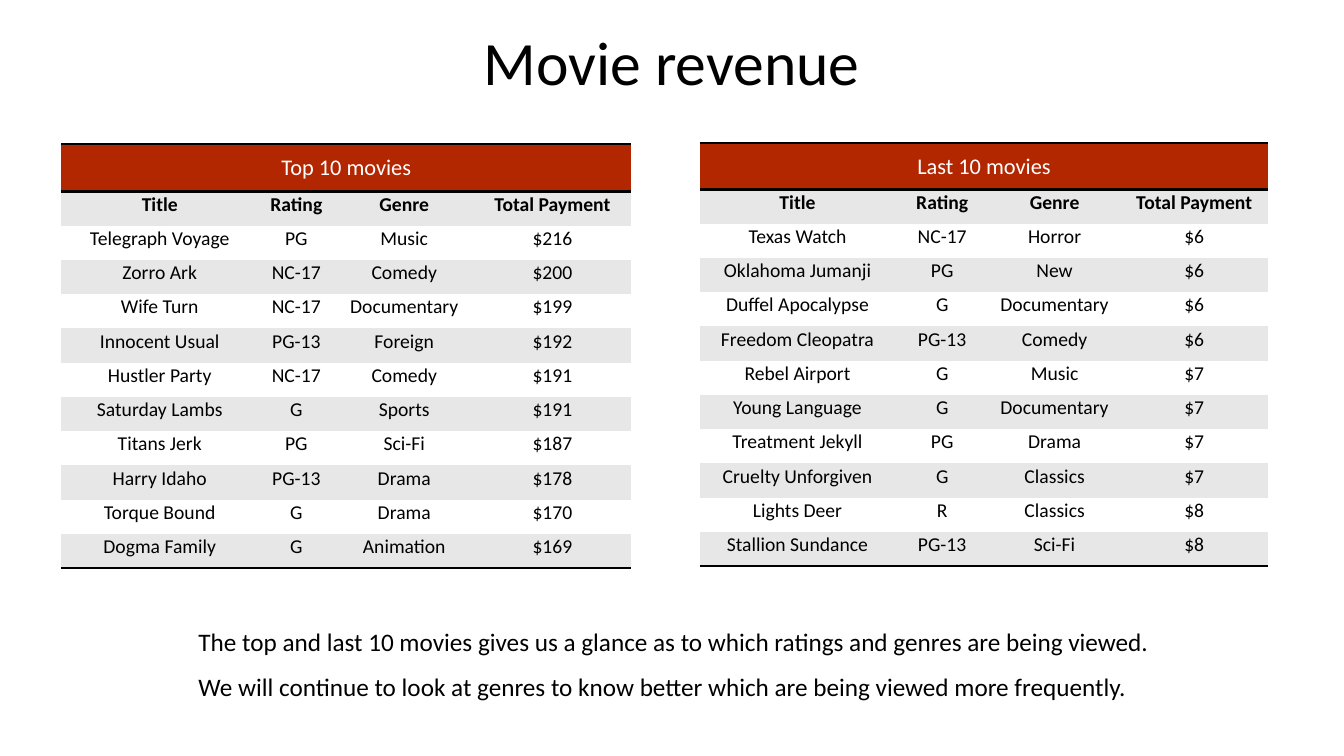
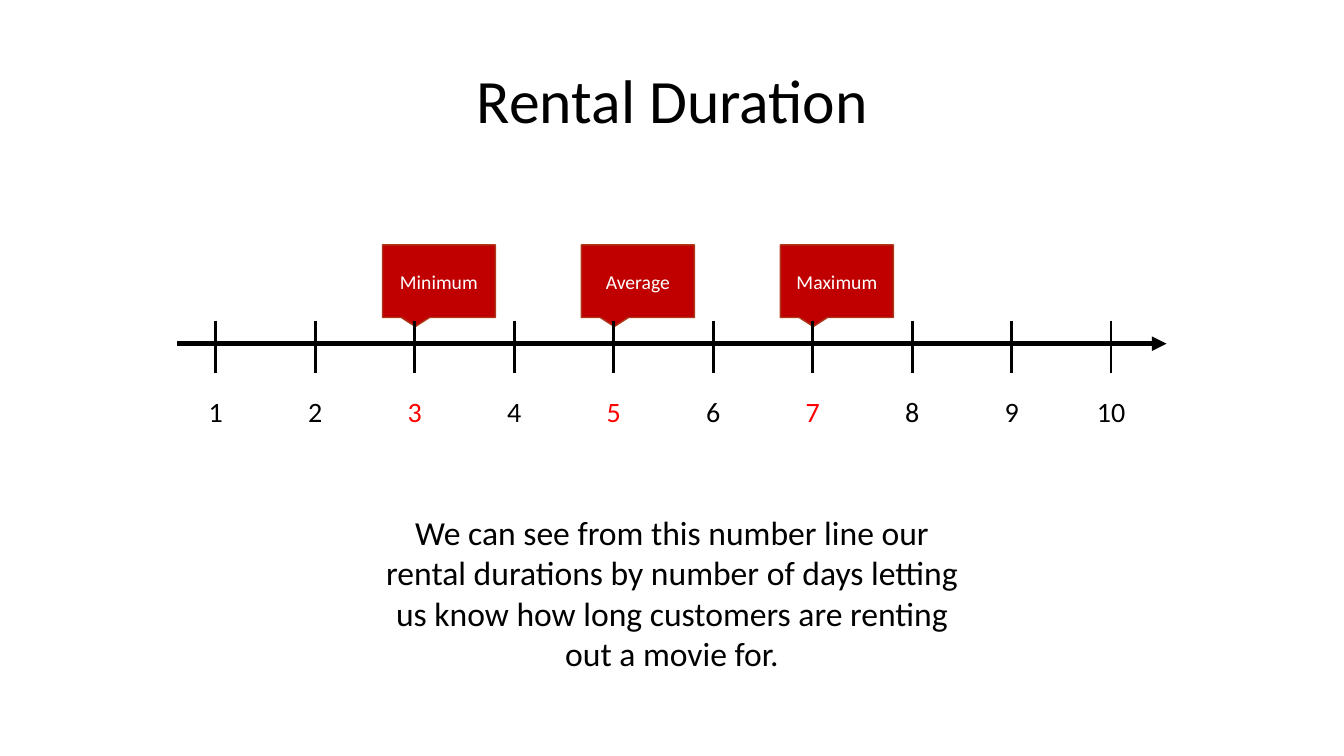
from dataclasses import dataclass

from lxml import etree
from pptx import Presentation
from pptx.dml.color import RGBColor
from pptx.enum.shapes import MSO_CONNECTOR, MSO_SHAPE
from pptx.enum.text import MSO_ANCHOR, MSO_AUTO_SIZE, PP_ALIGN
from pptx.oxml.ns import qn
from pptx.util import Inches, Pt

LEFT, MID = PP_ALIGN.LEFT, PP_ALIGN.CENTER
TOP, CENTER = MSO_ANCHOR.TOP, MSO_ANCHOR.MIDDLE
FIXED, GROW = MSO_AUTO_SIZE.NONE, MSO_AUTO_SIZE.SHAPE_TO_FIT_TEXT
LINE, CALLOUT = MSO_CONNECTOR.STRAIGHT, MSO_SHAPE.RECTANGULAR_CALLOUT
TITLE_ONLY = 5
NO_GRID = "{2D5ABB26-0587-4C30-8999-92F81FD0307C}"


@dataclass(frozen=True)
class Theme:
    font: str = "Calibri"
    # Colours
    black: str = "000000"
    white: str = "FFFFFF"
    head: str = "B22600"
    band: str = "E7E7E7"
    flag: str = "C00000"
    edge: str = "AC3819"
    mark: str = "FF0000"
    # Type sizes
    title: int = 44
    lead: int = 24
    digit: int = 20
    note: int = 18
    top: int = 16
    cell: int = 14


T = Theme()

# Table content
FIELDS = ("Title", "Rating", "Genre", "Total Payment")
BEST = [
    ("Telegraph Voyage", "PG", "Music", "$216"),
    ("Zorro Ark", "NC-17", "Comedy", "$200"),
    ("Wife Turn", "NC-17", "Documentary", "$199"),
    ("Innocent Usual", "PG-13", "Foreign", "$192"),
    ("Hustler Party", "NC-17", "Comedy", "$191"),
    ("Saturday Lambs", "G", "Sports", "$191"),
    ("Titans Jerk", "PG", "Sci-Fi", "$187"),
    ("Harry Idaho", "PG-13", "Drama", "$178"),
    ("Torque Bound", "G", "Drama", "$170"),
    ("Dogma Family", "G", "Animation", "$169"),
]
LAST = [
    ("Texas Watch", "NC-17", "Horror", "$6"),
    ("Oklahoma Jumanji", "PG", "New", "$6"),
    ("Duffel Apocalypse", "G", "Documentary", "$6"),
    ("Freedom Cleopatra", "PG-13", "Comedy", "$6"),
    ("Rebel Airport", "G", "Music", "$7"),
    ("Young Language", "G", "Documentary", "$7"),
    ("Treatment Jekyll", "PG", "Drama", "$7"),
    ("Cruelty Unforgiven", "G", "Classics", "$7"),
    ("Lights Deer", "R", "Classics", "$8"),
    ("Stallion Sundance", "PG-13", "Sci-Fi", "$8"),
]
NOTES = (
    "The top and last 10 movies gives us a glance as to which ratings and genres are being viewed.",
    "We will continue to look at genres to know better which are being viewed more frequently.",
)
LEAD = (
    "We can see from this number line our rental durations by number of days "
    "letting us know how long customers are renting out a movie for."
)
FLAGS = {3: "Minimum", 5: "Average", 7: "Maximum"}


# Formatting helpers
def apply(obj, vals):
    for name, val in vals.items():
        setattr(obj, name, val)


def paint(fill, color):
    fill.solid()
    fill.fore_color.rgb = RGBColor.from_string(color)


def write(frame, lines, size, color=T.black, bold=False, align=MID, space=None):
    for i, line in enumerate(lines):
        para = frame.add_paragraph() if i else frame.paragraphs[0]
        para.text = line
        apply(para, {"alignment": align, "line_spacing": space})
        apply(para.font, {"name": T.font, "size": Pt(size), "bold": bold})
        para.font.color.rgb = RGBColor.from_string(color)


# Slide elements
def add_page(deck, title, box):
    page = deck.slides.add_slide(deck.slide_layouts[TITLE_ONLY])
    shape = page.shapes.title
    apply(shape, dict(zip(("left", "top", "width", "height"), map(Inches, box))))
    apply(shape.text_frame, {"vertical_anchor": CENTER, "auto_size": FIXED})
    write(shape.text_frame, [title], T.title, space=0.9)
    return page


def add_text(page, box, lines, size, wrap=True, **look):
    frame = page.shapes.add_textbox(*map(Inches, box)).text_frame
    apply(frame, {"word_wrap": wrap, "auto_size": GROW})
    write(frame, lines, size, **look)


def add_line(page, start, end, width, arrow=False):
    line = page.shapes.add_connector(LINE, *map(Inches, start + end))
    line.line.width = Pt(width)
    line.line.color.rgb = RGBColor.from_string(T.black)
    props = line.element.spPr
    if arrow:
        etree.SubElement(props.find(qn("a:ln")), qn("a:tailEnd"), type="triangle")
    etree.SubElement(props, qn("a:effectLst"))


def add_flag(page, box, label):
    flag = page.shapes.add_shape(CALLOUT, *map(Inches, box))
    flag.shadow.inherit = False
    paint(flag.fill, T.flag)
    paint(flag.line.fill, T.edge)
    flag.line.width = Pt(1)
    flag.text_frame.vertical_anchor = CENTER
    write(flag.text_frame, [label], T.cell, T.white)


def add_rule(cell, side):
    line = etree.SubElement(cell._tc.get_or_add_tcPr(), qn("a:" + side), w=str(Pt(2)))
    fill = etree.SubElement(line, qn("a:solidFill"))
    etree.SubElement(fill, qn("a:srgbClr"), val=T.black)


def set_cell(cell, text, fill, rules=(), anchor=TOP, **look):
    for side in rules:
        add_rule(cell, side)
    paint(cell.fill, fill)
    pad = Inches(0.01)
    apply(cell, {"margin_left": pad, "margin_right": pad, "margin_top": pad,
                 "margin_bottom": 0, "vertical_anchor": anchor})
    write(cell.text_frame, [text], **look)


def add_grid(page, spot, cols, head, title, films):
    rows = [FIELDS] + films
    tall = [head] + [0.34] * len(rows)
    size = (sum(cols), sum(tall))
    frame = page.shapes.add_table(len(tall), len(cols), *map(Inches, spot + size))
    grid = frame.table
    apply(grid, {"first_row": False, "horz_banding": False})
    grid._tbl.tblPr.find(qn("a:tableStyleId")).text = NO_GRID
    for col, width in zip(grid.columns, cols):
        col.width = Inches(width)
    for row, height in zip(grid.rows, tall):
        row.height = Inches(height)

    # Heading across all columns
    for i in range(len(cols)):
        set_cell(grid.cell(0, i), "" if i else title, T.head, ("lnT", "lnB"),
                 CENTER, size=T.top, color=T.white)
    grid.cell(0, 0).merge(grid.cell(0, len(cols) - 1))

    # Field names and banded rows
    for r, row in enumerate(rows):
        fill = T.white if r % 2 else T.band
        rules = ("lnB",) if r == len(films) else ()
        for c, text in enumerate(row):
            set_cell(grid.cell(r + 1, c), text, fill, rules, size=T.cell, bold=r == 0)


# Slides
def add_sales(deck):
    page = add_page(deck, "Movie revenue", (1.51, 0.27, 10.31, 0.77))
    add_text(page, (1.87, 6.01, 9.8, 0.96), NOTES, T.note, wrap=False,
             align=LEFT, space=1.5)
    add_grid(page, (0.61, 1.43), (1.95, 0.76, 1.38, 1.56), 0.47, "Top 10 movies", BEST)
    add_grid(page, (6.94, 1.42), (1.94, 0.93, 1.3, 1.47), 0.46, "Last 10 movies", LAST)


def add_days(deck):
    page = add_page(deck, "Rental Duration", (0.92, 0.2, 11.5, 1.65))
    first, final, count = 2.14, 11.02, 10
    step = (final - first) / (count - 1)
    ticks = {day: first + (day - 1) * step for day in range(1, count + 1)}

    for day, label in FLAGS.items():
        add_flag(page, (ticks[day] - 0.32, 2.43, 1.12, 0.72), label)
    add_text(page, (3.65, 5.03, 6.03, 1.72), [LEAD], T.lead)

    # Number line
    add_line(page, (1.76, 3.41), (11.57, 3.41), 3.5, arrow=True)
    for day, x in ticks.items():
        add_line(page, (x, 3.18), (x, 3.7), 2)
        color = T.mark if day in FLAGS else T.black
        add_text(page, (x - 0.29, 3.86, 0.58, 0.44), [str(day)], T.digit, color=color)


def main():
    deck = Presentation()
    apply(deck, {"slide_width": Inches(13.33), "slide_height": Inches(7.5)})
    add_sales(deck)
    add_days(deck)
    deck.save("out.pptx")


if __name__ == "__main__":
    main()
